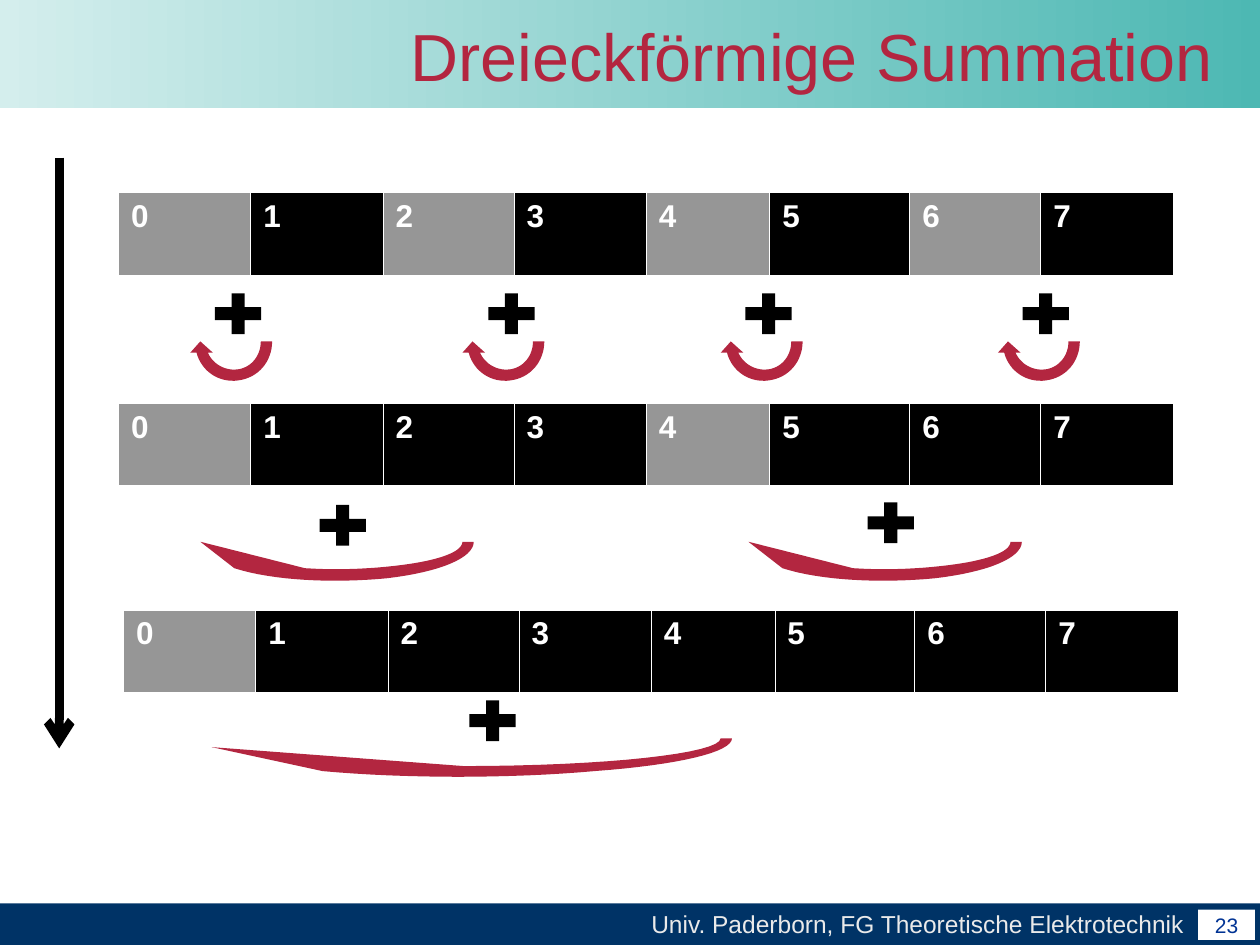
from lxml import etree
from pptx import Presentation
from pptx.dml.color import RGBColor
from pptx.enum.shapes import MSO_CONNECTOR, MSO_SHAPE
from pptx.enum.text import MSO_ANCHOR, PP_ALIGN
from pptx.oxml import parse_xml
from pptx.oxml.ns import nsdecls, qn
from pptx.util import Inches, Pt

BLACK, WHITE, GRAY, RED, NAVY = "000000", "FFFFFF", "969696", "B32640", "003366"
FONT = "Arial"

COLUMNS = [1.05, 1.05, 1.04, 1.05, 0.98, 1.11, 1.04, 1.05]
# Per summation step: left, top, indices of the cells still being summed
ARRAYS = [
    (0.94, 1.53, {0, 2, 4, 6}),
    (0.94, 3.2, {0, 4}),
    (0.98, 4.84, {0}),
]
PLUSES = [(1.64, 2.27), (3.81, 2.27), (5.85, 2.27), (8.05, 2.27),
          (2.47, 3.95), (6.82, 3.93), (3.66, 5.5)]

# Outlines: pairs are corners, sextuples are cubic Bézier segments
SHORT_ARC = [
    (0.66, 0.35), (0.66, 0.51, 0.55, 0.64, 0.39, 0.66),
    (0.24, 0.68, 0.10, 0.59, 0.06, 0.44), (0.01, 0.44), (0.09, 0.35),
    (0.19, 0.44), (0.15, 0.44), (0.19, 0.53, 0.29, 0.59, 0.40, 0.57),
    (0.50, 0.55, 0.57, 0.46, 0.57, 0.35),
]
MEDIUM_ARC = [
    (2.26, 0.35), (2.26, 0.48, 1.99, 0.59, 1.57, 0.64),
    (1.15, 0.68, 0.67, 0.66, 0.36, 0.56), (0.09, 0.35), (0.92, 0.56),
    (1.23, 0.58, 1.54, 0.56, 1.79, 0.52), (2.03, 0.48, 2.17, 0.42, 2.17, 0.35),
]
LONG_ARC = [
    (4.31, 0.36), (4.31, 0.47, 3.89, 0.57, 3.22, 0.62),
    (2.55, 0.68, 1.72, 0.68, 1.06, 0.62), (0.18, 0.43), (2.18, 0.58),
    (3.31, 0.58, 4.22, 0.48, 4.22, 0.36),
]
ARCS = [(SHORT_ARC, left, 2.36) for left in (1.5, 3.66, 5.71, 7.91)]
ARCS += [(MEDIUM_ARC, left, 3.95) for left in (1.5, 5.85)]
ARCS += [(LONG_ARC, 1.5, 5.5)]


def color(hex_value):
    return RGBColor.from_string(hex_value)


def paint(shape, fill):
    """Give a shape a plain fill without line or shadow."""
    shape.shadow.inherit = False
    shape.fill.solid()
    shape.fill.fore_color.rgb = color(fill)
    shape.line.fill.background()


def add_preset(page, kind, left, top, width, height, fill):
    shape = page.shapes.add_shape(
        kind, Inches(left), Inches(top), Inches(width), Inches(height))
    paint(shape, fill)
    return shape


def write(frame, text, size, hex_value, align, bold=False):
    frame.text = text
    para = frame.paragraphs[0]
    para.alignment = align
    font = para.runs[0].font
    font.name, font.size, font.bold = FONT, Pt(size), bold
    font.color.rgb = color(hex_value)


def add_header(page, title):
    band = add_preset(page, MSO_SHAPE.RECTANGLE, 0, 0, 10, 0.86, WHITE)
    band.fill.gradient()
    band.fill.gradient_angle = 0
    for stop, position, tint in zip(
            band.fill.gradient_stops, (0, 1), ("D4EEED", "4DB8B3")):
        stop.position = position
        stop.color.rgb = color(tint)
    box = page.shapes.add_textbox(
        Inches(1.5), Inches(0.04), Inches(8.23), Inches(0.76))
    box.text_frame.word_wrap = True
    box.text_frame.vertical_anchor = MSO_ANCHOR.BOTTOM
    write(box.text_frame, title, 38, RED, PP_ALIGN.RIGHT)


def add_footer(page, text, number):
    bar = add_preset(page, MSO_SHAPE.RECTANGLE, 0, 7.17, 10, 0.33, NAVY)
    bar.text_frame.margin_right = Inches(0.6)
    write(bar.text_frame, text, 14, "EAEAEA", PP_ALIGN.RIGHT)
    badge = add_preset(page, MSO_SHAPE.RECTANGLE, 9.51, 7.22, 0.45, 0.24, WHITE)
    badge.text_frame.margin_left = badge.text_frame.margin_right = Inches(0.06)
    write(badge.text_frame, number, 12, "003394", PP_ALIGN.CENTER)


def set_borders(cell):
    """Draw thin white cell borders, heavier at the bottom."""
    properties = cell._tc.get_or_add_tcPr()
    widths = {"lnL": 0.45, "lnR": 0.45, "lnT": 0.45, "lnB": 1.47}
    for index, (tag, width) in enumerate(widths.items()):
        properties.insert(index, parse_xml(
            f'<a:{tag} {nsdecls("a")} w="{Pt(width)}"><a:solidFill>'
            f'<a:srgbClr val="{WHITE}"/></a:solidFill></a:{tag}>'))


def add_array(page, left, top, active):
    table = page.shapes.add_table(
        1, len(COLUMNS), Inches(left), Inches(top),
        Inches(sum(COLUMNS)), Inches(0.66)).table
    table.first_row = table.horz_banding = False
    for index, width in enumerate(COLUMNS):
        table.columns[index].width = Inches(width)
        cell = table.cell(0, index)
        cell.fill.solid()
        cell.fill.fore_color.rgb = color(GRAY if index in active else BLACK)
        set_borders(cell)
        write(cell.text_frame, str(index), 18, WHITE, PP_ALIGN.LEFT, bold=True)


def bezier(start, segment, steps=16):
    """Return points along a cubic curve, without its start."""
    controls = [start, segment[:2], segment[2:4], segment[4:]]
    points = []
    for step in range(1, steps + 1):
        t = step / steps
        weights = ((1 - t) ** 3, 3 * t * (1 - t) ** 2, 3 * t * t * (1 - t), t ** 3)
        points.append(tuple(
            sum(w * point[axis] for w, point in zip(weights, controls))
            for axis in (0, 1)))
    return points


def add_arc(page, outline, left, top):
    points = [outline[0]]
    for part in outline[1:]:
        points += [part] if len(part) == 2 else bezier(points[-1], part)
    corners = [(Inches(left + x), Inches(top + y)) for x, y in points]
    builder = page.shapes.build_freeform(*corners[0])
    builder.add_line_segments(corners[1:], close=True)
    paint(builder.convert_to_shape(), RED)


def add_time_arrow(page):
    arrow = page.shapes.add_connector(
        MSO_CONNECTOR.STRAIGHT,
        Inches(0.47), Inches(1.25), Inches(0.47), Inches(5.94))
    arrow.line.color.rgb = color(BLACK)
    arrow.line.width = Pt(5)
    etree.SubElement(arrow.line._get_or_add_ln(), qn("a:tailEnd"), type="arrow")
    etree.SubElement(arrow._element.spPr, qn("a:effectLst"))


def main():
    deck = Presentation()
    deck.slide_width, deck.slide_height = Inches(10), Inches(7.5)
    page = deck.slides.add_slide(deck.slide_layouts[6])
    add_header(page, "Dreieckförmige Summation")
    add_footer(page, "Univ. Paderborn, FG Theoretische Elektrotechnik", "23")
    for left, top, active in ARRAYS:
        add_array(page, left, top, active)
    for left, top in PLUSES:
        add_preset(page, MSO_SHAPE.MATH_PLUS, left, top, 0.5, 0.44, BLACK)
    for outline, left, top in ARCS:
        add_arc(page, outline, left, top)
    add_time_arrow(page)
    deck.save("out.pptx")


if __name__ == "__main__":
    main()
